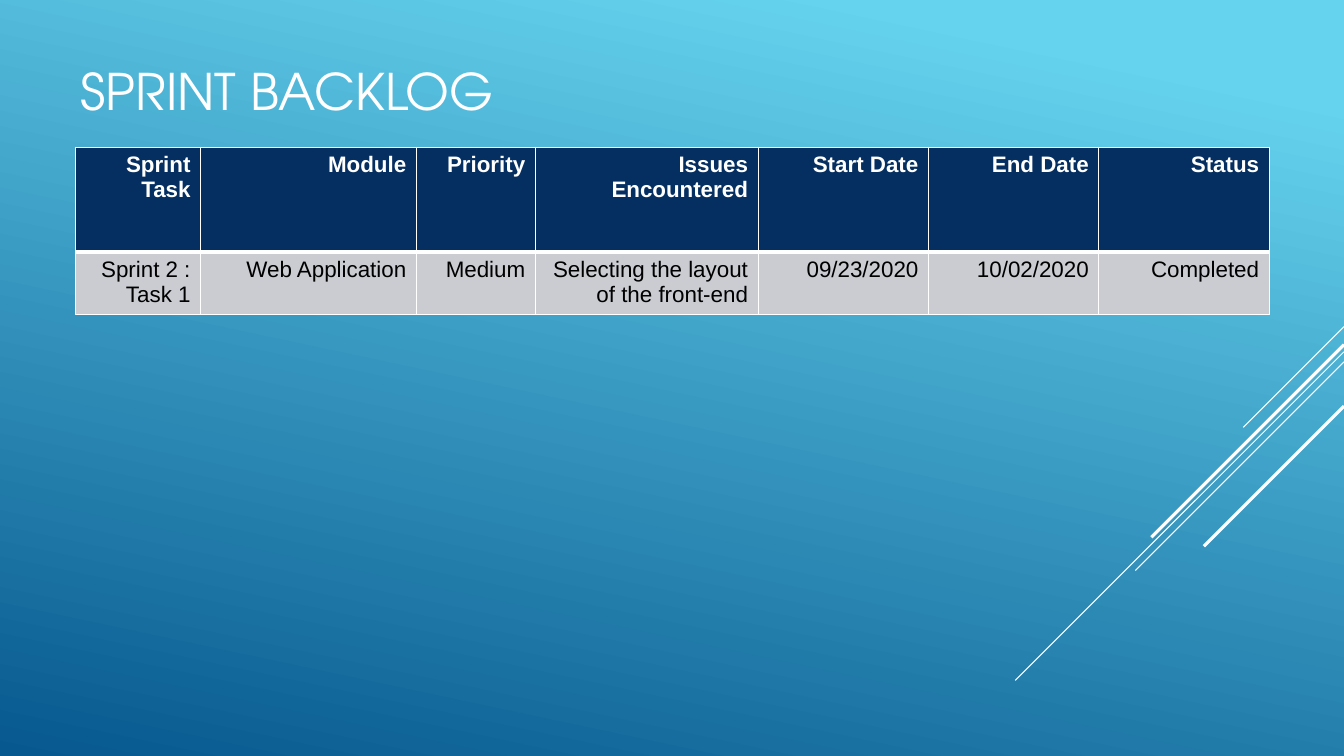
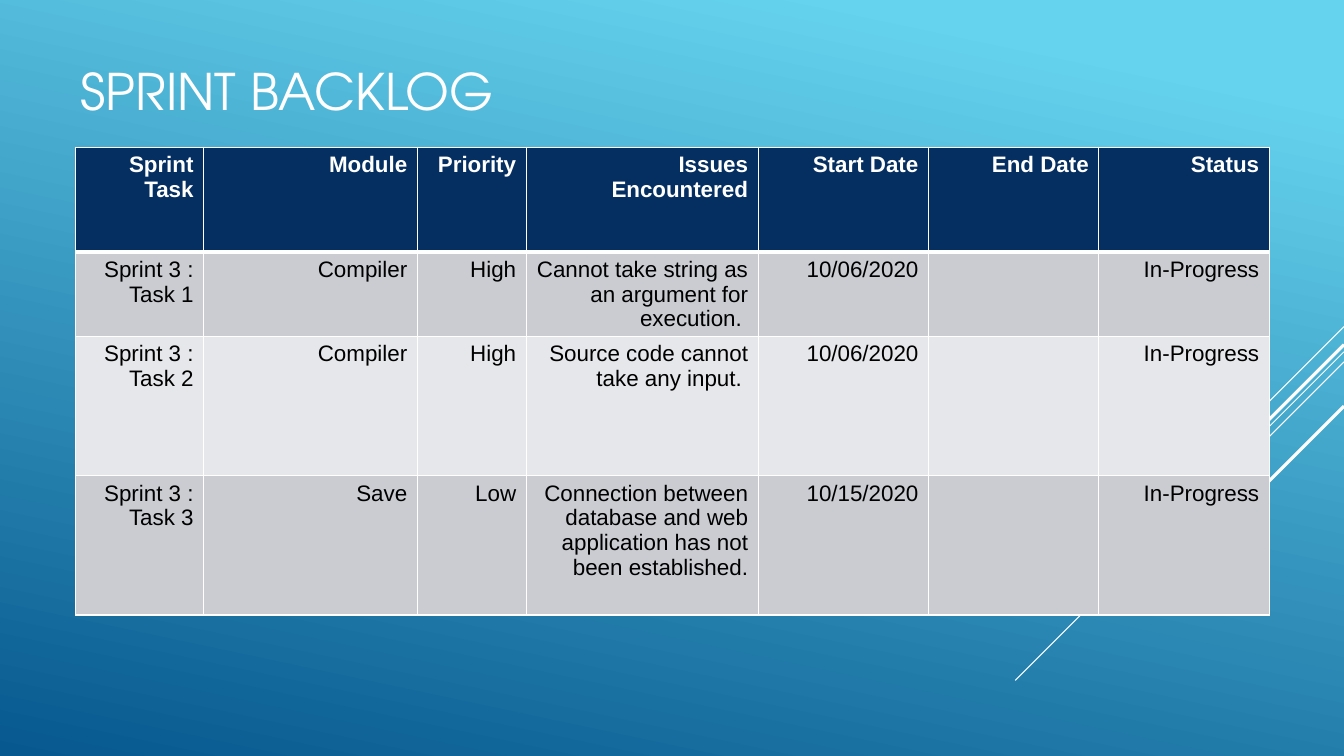
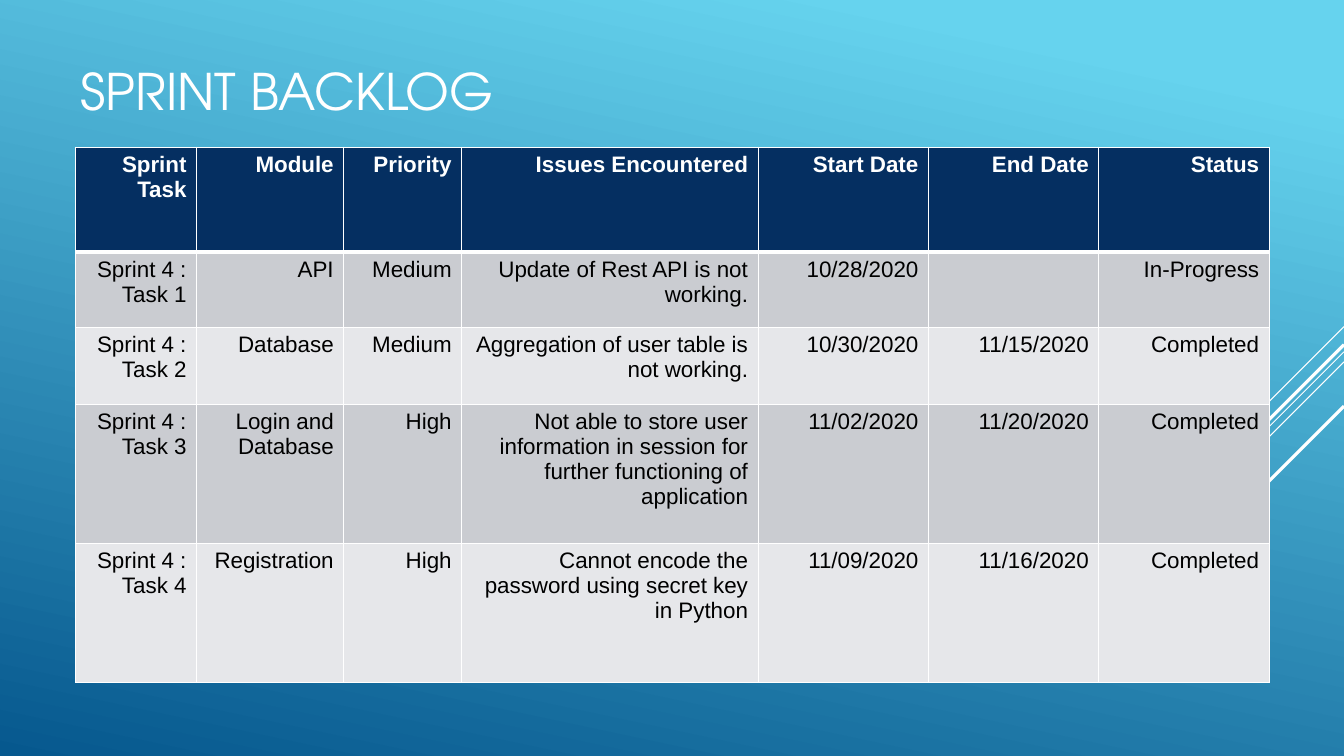
from copy import deepcopy

from lxml import etree
from pptx import Presentation
from pptx.dml.color import RGBColor
from pptx.enum.shapes import MSO_CONNECTOR
from pptx.enum.text import MSO_ANCHOR, MSO_AUTO_SIZE, PP_ALIGN
from pptx.oxml.ns import qn
from pptx.text.text import Font
from pptx.util import Pt

EMU_PER_PX = 9144
SLIDE_WIDTH, SLIDE_HEIGHT = 1333, 750
STRAIGHT = MSO_CONNECTOR.STRAIGHT
RIGHT = PP_ALIGN.RIGHT
BOTTOM = MSO_ANCHOR.BOTTOM
NO_AUTOFIT = MSO_AUTO_SIZE.NONE

WHITE, BLACK = "FFFFFF", "000000"
SKY, DEEP_BLUE = "66D3EE", "06588E"
HEADER_FILL = "052F61"
BAND_FILLS = ("CACCD1", "E6E7EA")

TITLE_BOX = (75, -125, 933, 250)
TITLE_FONT = {"name": "TeX Gyre Adventor", "size": Pt(36)}
TITLE_FRAME = {"vertical_anchor": BOTTOM, "auto_size": NO_AUTOFIT}
CELL_FONT = {"name": "Arial", "size": Pt(16)}
THIN_BORDER, THICK_BORDER = 1, 3

# Diagonal strokes: top at the right edge, run to the lower left, line width
STROKES = [(324, 100, 0.75), (349, 326, 0.75), (359, 207, 0.75),
           (342, 191, 2.25), (403, 139, 2.25)]

TABLE_LEFT, TABLE_TOP = 75, 146
HEADER_HEIGHT = 104
DATE_STATUS_WIDTHS = [169] * 3
HEADINGS = ("Sprint Task", "Module", "Priority", "Issues Encountered",
            "Start Date", "End Date", "Status")

BACKLOGS = [
    {"widths": [124, 214, 118, 221], "heights": [62], "tasks": [
        ("Sprint 2 : Task 1", "Web Application", "Medium",
         "Selecting the layout of the front-end",
         "09/23/2020", "10/02/2020", "Completed"),
    ]},
    {"widths": [127, 212, 108, 230], "heights": [64, 138, 138], "tasks": [
        ("Sprint 3 : Task 1", "Compiler", "High",
         "Cannot take string as an argument for execution. ",
         "10/06/2020", "", "In-Progress"),
        ("Sprint 3 : Task 2", "Compiler", "High",
         "Source code cannot take any input. ",
         "10/06/2020", "", "In-Progress"),
        ("Sprint 3 : Task 3", "Save", "Low",
         "Connection between database and web application has not been established.",
         "10/15/2020", "", "In-Progress"),
    ]},
    {"widths": [120, 146, 117, 294], "heights": [75, 76, 138, 138], "tasks": [
        ("Sprint 4 : Task 1", "API", "Medium",
         "Update of Rest API is not working.",
         "10/28/2020", "", "In-Progress"),
        ("Sprint 4 : Task 2", "Database", "Medium",
         "Aggregation of user table is not working.",
         "10/30/2020", "11/15/2020", "Completed"),
        ("Sprint 4 : Task 3", "Login and Database", "High",
         "Not able to store user information in session for further functioning of application",
         "11/02/2020", "11/20/2020", "Completed"),
        ("Sprint 4 : Task 4", "Registration", "High",
         "Cannot encode the password using secret key in Python",
         "11/09/2020", "11/16/2020", "Completed"),
    ]},
]


def px(length):
    return length * EMU_PER_PX


def color(hex_value):
    return RGBColor.from_string(hex_value)


def apply(target, values):
    for name, value in values.items():
        setattr(target, name, value)


def style_background(master):
    fill = master.background.fill
    fill.gradient()
    fill.gradient_angle = 258
    for stop, position, shade in zip(fill.gradient_stops, (0.1, 1), (SKY, DEEP_BLUE)):
        stop.position = position
        stop.color.rgb = color(shade)
    stop_list = master.element.find(".//" + qn("a:gsLst"))
    first_stop = deepcopy(stop_list[0])
    first_stop.set("pos", "0")
    stop_list.insert(0, first_stop)


def style_title(master, layout):
    level = master.element.find(f".//{qn('p:titleStyle')}/{qn('a:lvl1pPr')}")
    level.set("algn", "l")
    font = Font(level.find(qn("a:defRPr")))
    apply(font, TITLE_FONT)
    font.color.rgb = color(WHITE)

    title = next(iter(layout.placeholders))
    apply(title, dict(zip(("left", "top", "width", "height"), map(px, TITLE_BOX))))
    margins = {f"margin_{side}": px(5) for side in ("left", "top", "right", "bottom")}
    apply(title.text_frame, TITLE_FRAME | margins)


def add_strokes(slide, layout):
    """Draw the diagonal strokes and move them to the back of the layout."""
    layout_tree = layout.element.cSld.spTree
    for index, (top, run, width) in enumerate(STROKES):
        stroke = slide.shapes.add_connector(
            STRAIGHT, px(SLIDE_WIDTH), px(top), px(SLIDE_WIDTH - run), px(top + run))
        stroke.line.color.rgb = color(WHITE)
        stroke.line.width = Pt(width)
        etree.SubElement(stroke.element.spPr, qn("a:effectLst"))
        stroke.element.nvCxnSpPr.cNvPr.set("id", str(20 + index))
        layout_tree.insert(2 + index, stroke.element)


def set_borders(cell, top, bottom):
    properties = cell._tc.get_or_add_tcPr()
    widths = {"L": THIN_BORDER, "R": THIN_BORDER, "T": top, "B": bottom}
    for side, width in widths.items():
        border = etree.SubElement(properties, qn(f"a:ln{side}"), w=str(Pt(width)))
        fill = etree.SubElement(border, qn("a:solidFill"))
        etree.SubElement(fill, qn("a:srgbClr"), val=WHITE)


def fill_cell(cell, text, row):
    is_header = row == 0
    set_borders(cell, THICK_BORDER if row == 1 else THIN_BORDER,
                THICK_BORDER if is_header else THIN_BORDER)
    cell.fill.solid()
    cell.fill.fore_color.rgb = color(HEADER_FILL if is_header else BAND_FILLS[(row - 1) % 2])
    paragraph = cell.text_frame.paragraphs[0]
    paragraph.alignment = RIGHT
    if text:
        run = paragraph.add_run()
        run.text = text
        apply(run.font, CELL_FONT | {"bold": is_header})
        run.font.color.rgb = color(WHITE if is_header else BLACK)


def add_backlog_table(slide, left, top, backlog):
    widths = backlog["widths"] + DATE_STATUS_WIDTHS
    heights = [HEADER_HEIGHT] + backlog["heights"]
    rows = [HEADINGS] + backlog["tasks"]
    table = slide.shapes.add_table(
        len(rows), len(widths), px(left), px(top), px(sum(widths)), px(sum(heights))).table
    table.horz_banding = False
    for column, width in zip(table.columns, widths):
        column.width = px(width)
    for row, height in zip(table.rows, heights):
        row.height = px(height)
    for row_index, texts in enumerate(rows):
        for column_index, text in enumerate(texts):
            fill_cell(table.cell(row_index, column_index), text, row_index)


def add_backlog_slide(presentation, layout, backlog):
    slide = presentation.slides.add_slide(layout)
    slide.shapes.title.text = "SPRINT BACKLOG"
    add_backlog_table(slide, TABLE_LEFT, TABLE_TOP, backlog)
    return slide


def main():
    presentation = Presentation()
    presentation.slide_width = px(SLIDE_WIDTH)
    presentation.slide_height = px(SLIDE_HEIGHT)
    layout = presentation.slide_layouts.get_by_name("Title Only")
    style_background(presentation.slide_master)
    style_title(presentation.slide_master, layout)
    slides = [add_backlog_slide(presentation, layout, backlog) for backlog in BACKLOGS]
    add_strokes(slides[0], layout)
    presentation.save("out.pptx")


if __name__ == "__main__":
    main()
